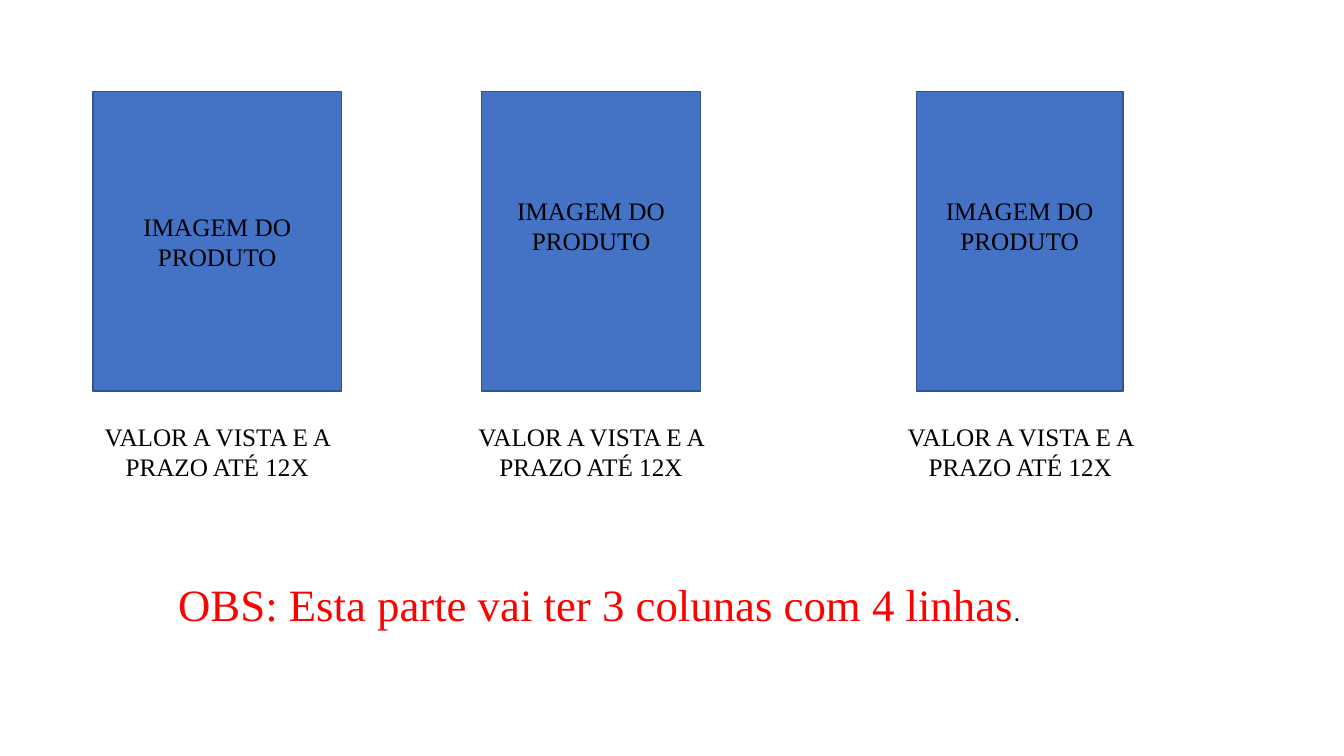
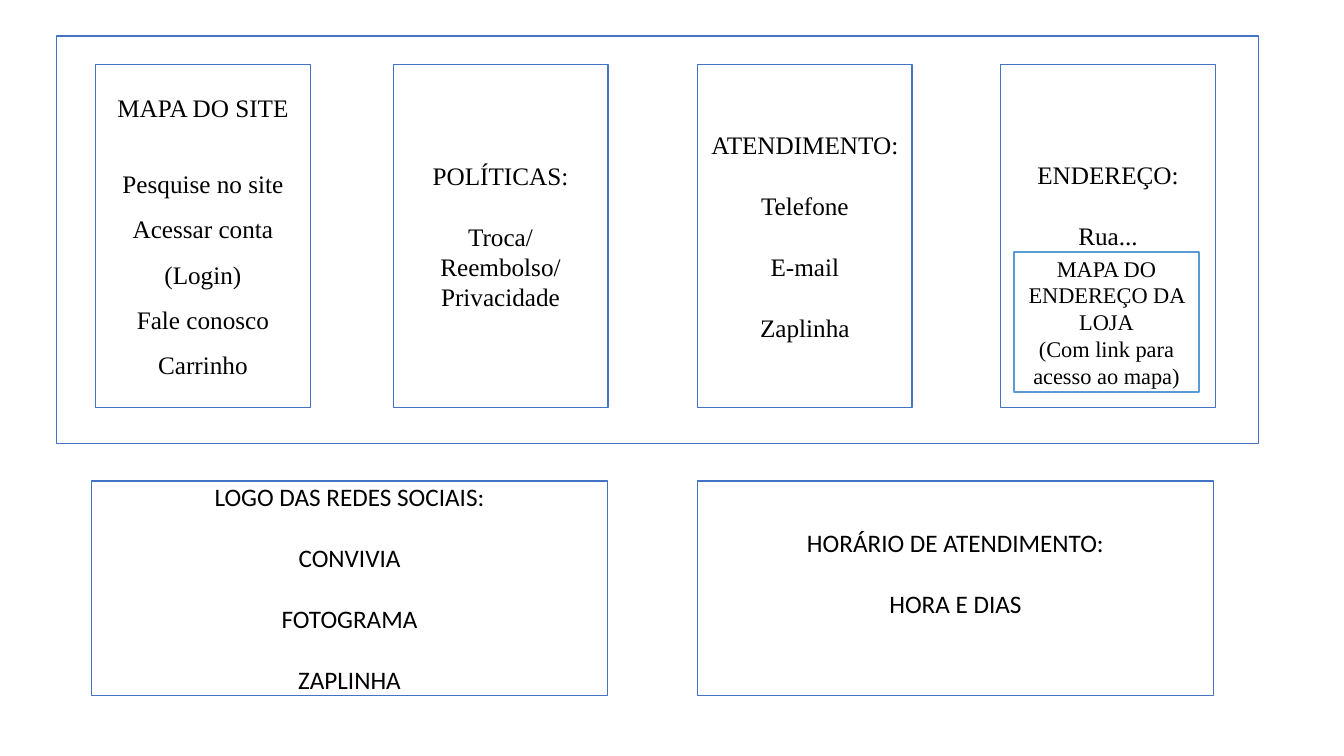
from pptx import Presentation
from pptx.dml.color import RGBColor
from pptx.enum.shapes import MSO_SHAPE
from pptx.enum.text import MSO_ANCHOR, MSO_AUTO_SIZE, PP_ALIGN
from pptx.util import Cm, Pt

RECTANGLE = MSO_SHAPE.RECTANGLE
MIDDLE = MSO_ANCHOR.MIDDLE
FIT_SHAPE = MSO_AUTO_SIZE.SHAPE_TO_FIT_TEXT
CENTER = PP_ALIGN.CENTER
BLANK_LAYOUT = 6

COLORS = {
    "blue": "4472C4",
    "dark_blue": "325491",
    "light_blue": "5B9BD5",
    "white": "FFFFFF",
    "black": "000000",
    "red": "FF0000",
}
SERIF = "Times New Roman"
SANS = "Calibri"
BLOCK_GAP = Pt(22)
INSET = Cm(0.13)


class Wireframe:
    def __init__(self):
        self.presentation = Presentation()
        self.presentation.slide_width = Cm(33.87)
        self.presentation.slide_height = Cm(19.05)
        self.slide = None

    def add_slide(self):
        layout = self.presentation.slide_layouts[BLANK_LAYOUT]
        self.slide = self.presentation.slides.add_slide(layout)

    def color(self, name):
        return RGBColor.from_string(COLORS[name])

    def format_run(self, run, font=SERIF, size=18, color="black"):
        run.font.name = font
        run.font.size = Pt(size)
        run.font.color.rgb = self.color(color)

    def write_blocks(self, frame, blocks, font=SERIF, size=18, spacing=None):
        frame.text = "\n".join(line for block in blocks for line in block)
        paragraphs = iter(frame.paragraphs)
        for block_index, block in enumerate(blocks):
            for line_index in range(len(block)):
                paragraph = next(paragraphs)
                paragraph.alignment = CENTER
                if block_index:
                    paragraph.line_spacing = spacing
                    if line_index == 0:
                        paragraph.space_before = BLOCK_GAP
                self.format_run(paragraph.runs[0], font, size)

    def box(self, left, top, width, height, blocks=(), fill="white", line="blue",
            bottom_gaps=0, **text_style):
        shape = self.slide.shapes.add_shape(
            RECTANGLE, Cm(left), Cm(top), Cm(width), Cm(height))
        shape.shadow.inherit = False
        shape.fill.solid()
        shape.fill.fore_color.rgb = self.color(fill)
        shape.line.color.rgb = self.color(line)
        shape.line.width = Pt(1)
        frame = shape.text_frame
        frame.word_wrap = True
        frame.vertical_anchor = MIDDLE
        frame.margin_bottom = INSET + bottom_gaps * BLOCK_GAP
        if blocks:
            self.write_blocks(frame, blocks, **text_style)

    def text_frame(self, left, top, width, height):
        shape = self.slide.shapes.add_textbox(
            Cm(left), Cm(top), Cm(width), Cm(height))
        frame = shape.text_frame
        frame.word_wrap = True
        frame.auto_size = FIT_SHAPE
        return frame

    def caption(self, left, top, width, height, text):
        self.write_blocks(self.text_frame(left, top, width, height), [[text]])

    def note(self, left, top, width, height, text, ending):
        paragraph = self.text_frame(left, top, width, height).paragraphs[0]
        paragraph.text = text
        self.format_run(paragraph.runs[0], size=32, color="red")
        final_run = paragraph.add_run()
        final_run.text = ending
        self.format_run(final_run, font=SANS)


def build_products(wireframe):
    wireframe.add_slide()
    products = [
        (2.34, 6.27, 2.34, 0),
        (12.14, 5.51, 11.76, 1),
        (23.09, 5.21, 22.58, 1),
    ]
    for image_left, image_width, caption_left, bottom_gaps in products:
        wireframe.box(image_left, 2.31, image_width, 7.54, [["IMAGEM DO PRODUTO"]],
                      fill="blue", line="dark_blue", bottom_gaps=bottom_gaps)
        wireframe.caption(caption_left, 10.49, 6.27, 1.8,
                          "VALOR A VISTA E A PRAZO ATÉ 12X")
    wireframe.note(4.24, 14.4, 24.05, 1.63,
                   "OBS: Esta parte vai ter 3 colunas com 4 linhas", ".")


def build_footer(wireframe):
    wireframe.add_slide()
    wireframe.box(1.42, 0.91, 30.3, 10.26)

    panels = [
        (2.31, 0, [["LOGO DAS REDES SOCIAIS:"], ["CONVIVIA"], ["FOTOGRAMA"],
                   ["ZAPLINHA"]]),
        (17.58, 1, [["HORÁRIO DE ATENDIMENTO:"], ["HORA E DIAS"]]),
    ]
    for left, bottom_gaps, blocks in panels:
        wireframe.box(left, 12.12, 13, 5.41, blocks,
                      bottom_gaps=bottom_gaps, font=SANS)

    columns = [
        (2.41, 0, 1.5, [["MAPA DO SITE"],
                        ["Pesquise no site", "Acessar conta", "(Login)",
                         "Fale conosco", "Carrinho"]]),
        (9.91, 0, None, [["POLÍTICAS:"], ["Troca/Reembolso/Privacidade"]]),
        (17.58, 0, None, [["ATENDIMENTO:"], ["Telefone"], ["E-mail"], ["Zaplinha"]]),
        (25.22, 2, None, [["ENDEREÇO:"], ["Rua..."]]),
    ]
    for left, bottom_gaps, spacing, blocks in columns:
        wireframe.box(left, 1.63, 5.41, 8.64, blocks,
                      bottom_gaps=bottom_gaps, spacing=spacing)

    wireframe.box(25.55, 6.35, 4.67, 3.53,
                  [["MAPA DO ENDEREÇO DA LOJA", "(Com link para acesso ao mapa)"]],
                  line="light_blue", size=16)


wireframe = Wireframe()
build_products(wireframe)
build_footer(wireframe)
wireframe.presentation.save("out.pptx")
